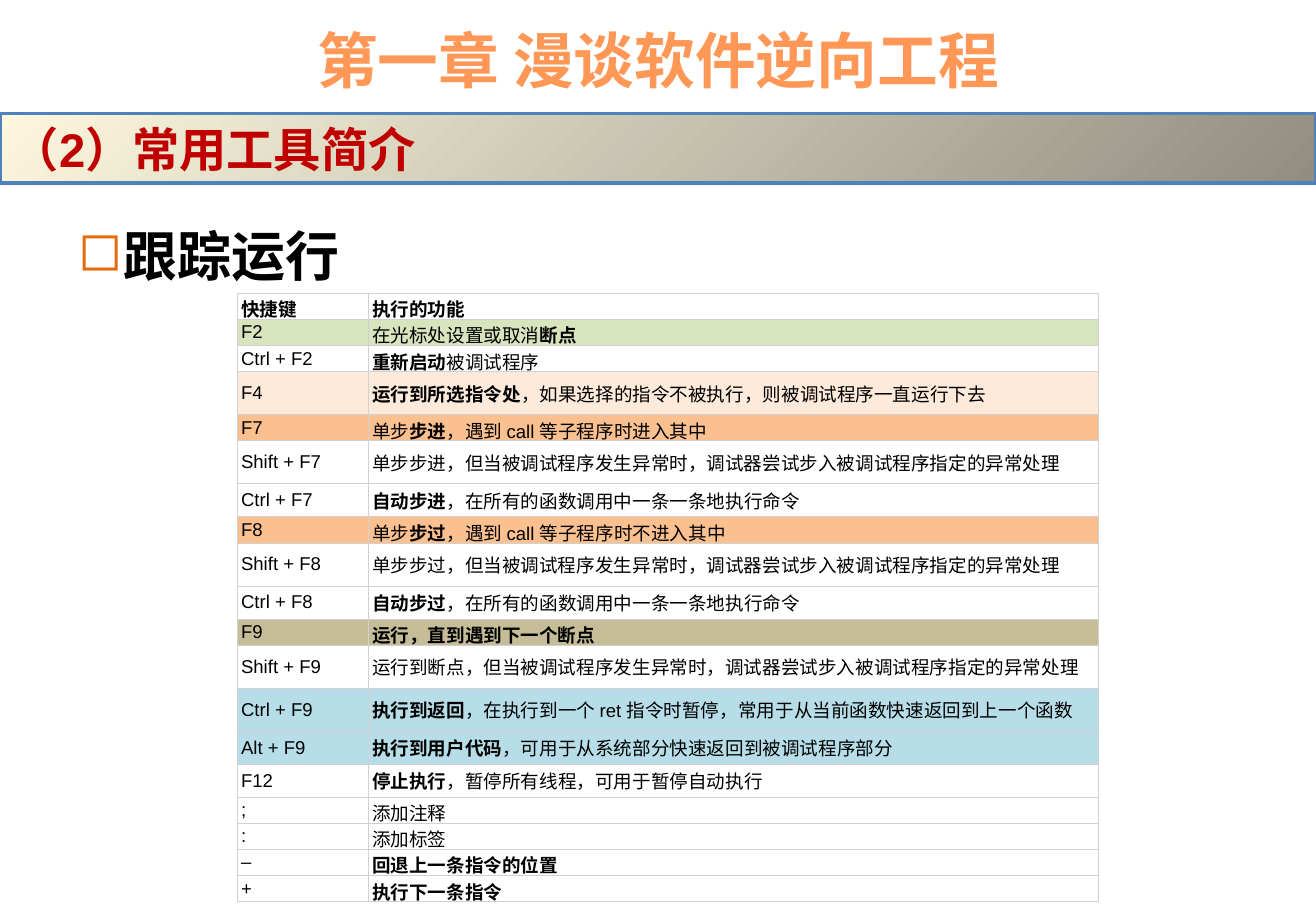
from lxml import etree
from pptx import Presentation
from pptx.dml.color import RGBColor
from pptx.enum import shapes, text
from pptx.oxml import parse_xml
from pptx.oxml.ns import nsdecls, qn
from pptx.util import Cm, Pt

BLACK = RGBColor(0x00, 0x00, 0x00)
WHITE = RGBColor(0xFF, 0xFF, 0xFF)
TITLE_ORANGE = RGBColor(0xFF, 0x98, 0x56)
RED = RGBColor(0xC0, 0x00, 0x00)
BAND_LINE = RGBColor(0x4F, 0x81, 0xBD)
BAND_LIGHT = RGBColor(0xFC, 0xF7, 0xDD)
BAND_DARK = RGBColor(0x91, 0x8E, 0x81)
BULLET = RGBColor(0xE4, 0x6C, 0x0A)
GRID = RGBColor(0xD1, 0xD1, 0xD1)
GREEN = RGBColor(0xD7, 0xE4, 0xBD)
PEACH = RGBColor(0xFD, 0xEA, 0xDA)
ORANGE = RGBColor(0xFA, 0xC0, 0x90)
KHAKI = RGBColor(0xC4, 0xBD, 0x97)
BLUE = RGBColor(0xB7, 0xDE, 0xE8)

SHORT, MEDIUM, TALL = Cm(0.46), Cm(0.69), Cm(0.9)

SHORTCUTS = [
    ("*快捷键*", "*执行的功能*", SHORT, WHITE),
    ("F2", "在光标处设置或取消*断点*", SHORT, GREEN),
    ("Ctrl + F2", "*重新启动*被调试程序", SHORT, WHITE),
    ("F4", "*运行到所选指令处*，如果选择的指令不被执行，则被调试程序一直运行下去", TALL, PEACH),
    ("F7", "单步*步进*，遇到 call 等子程序时进入其中", SHORT, ORANGE),
    ("Shift + F7", "单步步进，但当被调试程序发生异常时，调试器尝试步入被调试程序指定的异常处理", TALL, WHITE),
    ("Ctrl + F7", "*自动步进*，在所有的函数调用中一条一条地执行命令", MEDIUM, WHITE),
    ("F8", "单步*步过*，遇到 call 等子程序时不进入其中", SHORT, ORANGE),
    ("Shift + F8", "单步步过，但当被调试程序发生异常时，调试器尝试步入被调试程序指定的异常处理", TALL, WHITE),
    ("Ctrl + F8", "*自动步过*，在所有的函数调用中一条一条地执行命令", MEDIUM, WHITE),
    ("F9", "*运行，直到遇到下一个断点*", SHORT, KHAKI),
    ("Shift + F9", "运行到断点，但当被调试程序发生异常时，调试器尝试步入被调试程序指定的异常处理", TALL, WHITE),
    ("Ctrl + F9", "*执行到返回*，在执行到一个 ret 指令时暂停，常用于从当前函数快速返回到上一个函数", TALL, BLUE),
    ("Alt + F9", "*执行到用户代码*，可用于从系统部分快速返回到被调试程序部分", MEDIUM, BLUE),
    ("F12", "*停止执行*，暂停所有线程，可用于暂停自动执行", MEDIUM, WHITE),
    (";", "添加注释", SHORT, WHITE),
    (":", "添加标签", SHORT, WHITE),
    ("–", "*回退上一条指令的位置*", SHORT, WHITE),
    ("+", "*执行下一条指令*", SHORT, WHITE),
]


def add_spans(para, marked, size, color):
    for index, words in enumerate(marked.split("*")):
        if words:
            span = para.add_run()
            span.text = words
            span.font.name = "Arial"
            span.font.size = Pt(size)
            span.font.bold = index % 2 == 1
            span.font.color.rgb = color


deck = Presentation()
deck.slide_width, deck.slide_height = Cm(27.52), Cm(19.05)
page = deck.slides.add_slide(deck.slide_layouts[5])

title = page.shapes.title
title.left, title.top, title.width, title.height = Cm(1.38), Cm(0.33), Cm(24.76), Cm(1.8)
title.text_frame.vertical_anchor = text.MSO_ANCHOR.MIDDLE
title_para = title.text_frame.paragraphs[0]
title_para.alignment = text.PP_ALIGN.CENTER
add_spans(title_para, "*第一章 漫谈软件逆向工程*", 36, TITLE_ORANGE)

topic = page.shapes.add_textbox(Cm(1.38), Cm(4.52), Cm(24.76), Cm(13.2))
topic.text_frame.word_wrap = True
topic_para = topic.text_frame.paragraphs[0]
properties = topic_para._p.get_or_add_pPr()
properties.set("marL", str(Cm(0.95)))
properties.set("indent", str(-Cm(0.95)))
bullet_color = etree.SubElement(properties, qn("a:buClr"))
etree.SubElement(bullet_color, qn("a:srgbClr")).set("val", str(BULLET))
etree.SubElement(properties, qn("a:buChar")).set("char", "◻")
add_spans(topic_para, "*跟踪运行*", 32, BLACK)

band = page.shapes.add_shape(shapes.MSO_SHAPE.RECTANGLE, 0, Cm(2.38), deck.slide_width, Cm(1.45))
band.shadow.inherit = False
band.line.color.rgb = BAND_LINE
band.line.width = Pt(2)
band.fill.gradient()
for stop, color in zip(band.fill.gradient_stops, (BAND_LIGHT, BAND_DARK)):
    stop.color.rgb = color
linear = band._element.spPr.find(qn("a:gradFill")).find(qn("a:lin"))
linear.getparent().replace(linear, parse_xml(
    f'<a:path {nsdecls("a")} path="circle"><a:fillToRect r="100000" b="100000"/></a:path>'))
band.text_frame.word_wrap = True
band.text_frame.vertical_anchor = text.MSO_ANCHOR.MIDDLE
band_para = band.text_frame.paragraphs[0]
band_para.alignment = text.PP_ALIGN.LEFT
add_spans(band_para, "*（2）常用工具简介*", 28, RED)

frame = page.shapes.add_table(len(SHORTCUTS), 2, Cm(4.96), Cm(6.13), Cm(18), Cm(12.8))
table = frame.table
table.first_row = False
table.horz_banding = False
table.columns[0].width, table.columns[1].width = Cm(2.74), Cm(15.26)
for row, (key, action, height, fill) in zip(table.rows, SHORTCUTS):
    row.height = height
    for cell, marked in zip(row.cells, (key, action)):
        cell.margin_left = cell.margin_right = Cm(0.08)
        cell.margin_top = cell.margin_bottom = Cm(0.04)
        cell.vertical_anchor = text.MSO_ANCHOR.MIDDLE
        for side in ("lnL", "lnR", "lnT", "lnB"):
            cell._tc.get_or_add_tcPr().append(parse_xml(
                f'<a:{side} {nsdecls("a")} w="{Pt(0.5)}"><a:solidFill>'
                f'<a:srgbClr val="{GRID}"/></a:solidFill></a:{side}>'))
        cell.fill.solid()
        cell.fill.fore_color.rgb = fill
        add_spans(cell.text_frame.paragraphs[0], marked, 11, BLACK)

deck.save("out.pptx")
